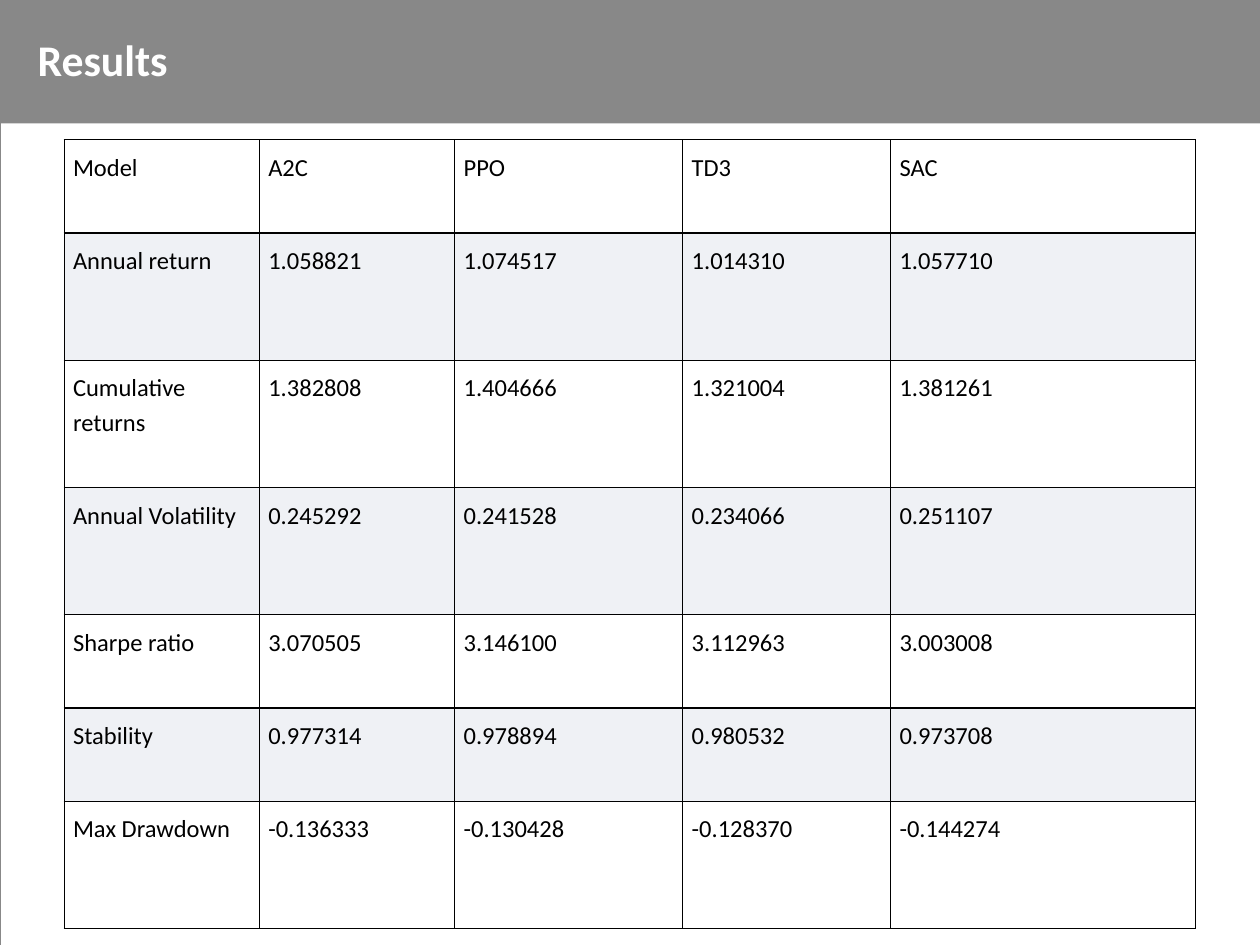
from lxml import etree
from pptx import Presentation
from pptx import util as u
from pptx.dml.color import RGBColor
from pptx.enum import shapes, text
from pptx.oxml.ns import qn

BLACK, WHITE, GREY, STRIPE = "000000", "FFFFFF", "888888", "EFF1F5"
COLUMN_WIDTHS = [1.55, 1.55, 1.81, 1.65, 2.42]
ROW_HEIGHTS = [0.74, 1.01, 1.01, 1.01, 0.74, 0.74, 1.01]
RESULTS = [
    ["Model", "A2C", "PPO", "TD3", "SAC"],
    ["Annual return", "1.058821", "1.074517", "1.014310", "1.057710"],
    ["Cumulative returns", "1.382808", "1.404666", "1.321004", "1.381261"],
    ["Annual Volatility", "0.245292", "0.241528", "0.234066", "0.251107"],
    ["Sharpe ratio", "3.070505", "3.146100", "3.112963", "3.003008"],
    ["Stability", "0.977314", "0.978894", "0.980532", "0.973708"],
    ["Max Drawdown", "-0.136333", "-0.130428", "-0.128370", "-0.144274"],
]


def paint(fill, color):
    fill.solid()
    fill.fore_color.rgb = RGBColor.from_string(color)


def add_span(para, words, size, color, bold=False):
    span = para.add_run()
    span.text = words
    span.font.name = "Calibri"
    span.font.size = u.Pt(size)
    span.font.bold = bold
    paint(span.font.fill, color)


deck = Presentation()
deck.slide_width, deck.slide_height = u.Inches(10), u.Inches(7.5)
page = deck.slides.add_slide(deck.slide_layouts[6])
paint(page.background.fill, GREY)

# Title
title = page.shapes.add_textbox(u.Inches(0.2), u.Inches(0.03), u.Inches(8.38), u.Inches(0.87))
title.text_frame.word_wrap = True
title.text_frame.vertical_anchor = text.MSO_ANCHOR.MIDDLE
add_span(title.text_frame.paragraphs[0], "Results", 25, WHITE, bold=True)

# White content panel
panel = page.shapes.add_shape(
    shapes.MSO_SHAPE.RECTANGLE, u.Inches(0.01), u.Inches(0.98), u.Inches(10), u.Inches(6.52))
panel.shadow.inherit = False
paint(panel.fill, WHITE)
panel.line.fill.background()

# Results table
table = page.shapes.add_table(
    len(ROW_HEIGHTS), len(COLUMN_WIDTHS), u.Inches(0.51), u.Inches(1.11),
    u.Inches(sum(COLUMN_WIDTHS)), u.Inches(sum(ROW_HEIGHTS))).table
table.first_row = table.horz_banding = False
for column, width in zip(table.columns, COLUMN_WIDTHS):
    column.width = u.Inches(width)
for row, height in zip(table.rows, ROW_HEIGHTS):
    row.height = u.Inches(height)

for row_index, values in enumerate(RESULTS):
    for column_index, value in enumerate(values):
        cell = table.cell(row_index, column_index)
        cell.margin_left = cell.margin_right = u.Inches(0.07)
        cell.margin_top = cell.margin_bottom = u.Inches(0.07)
        para = cell.text_frame.paragraphs[0]
        para.line_spacing = 1.15
        para.space_after = u.Pt(14)
        add_span(para, value, 14, BLACK)
        # Borders must come before the fill in the cell properties
        properties = cell._tc.get_or_add_tcPr()
        for side in ("a:lnL", "a:lnR", "a:lnT", "a:lnB"):
            border = etree.SubElement(properties, qn(side), w=str(u.Pt(0.75)))
            solid = etree.SubElement(border, qn("a:solidFill"))
            etree.SubElement(solid, qn("a:srgbClr"), val=BLACK)
        paint(cell.fill, STRIPE if row_index % 2 else WHITE)

deck.save("out.pptx")
